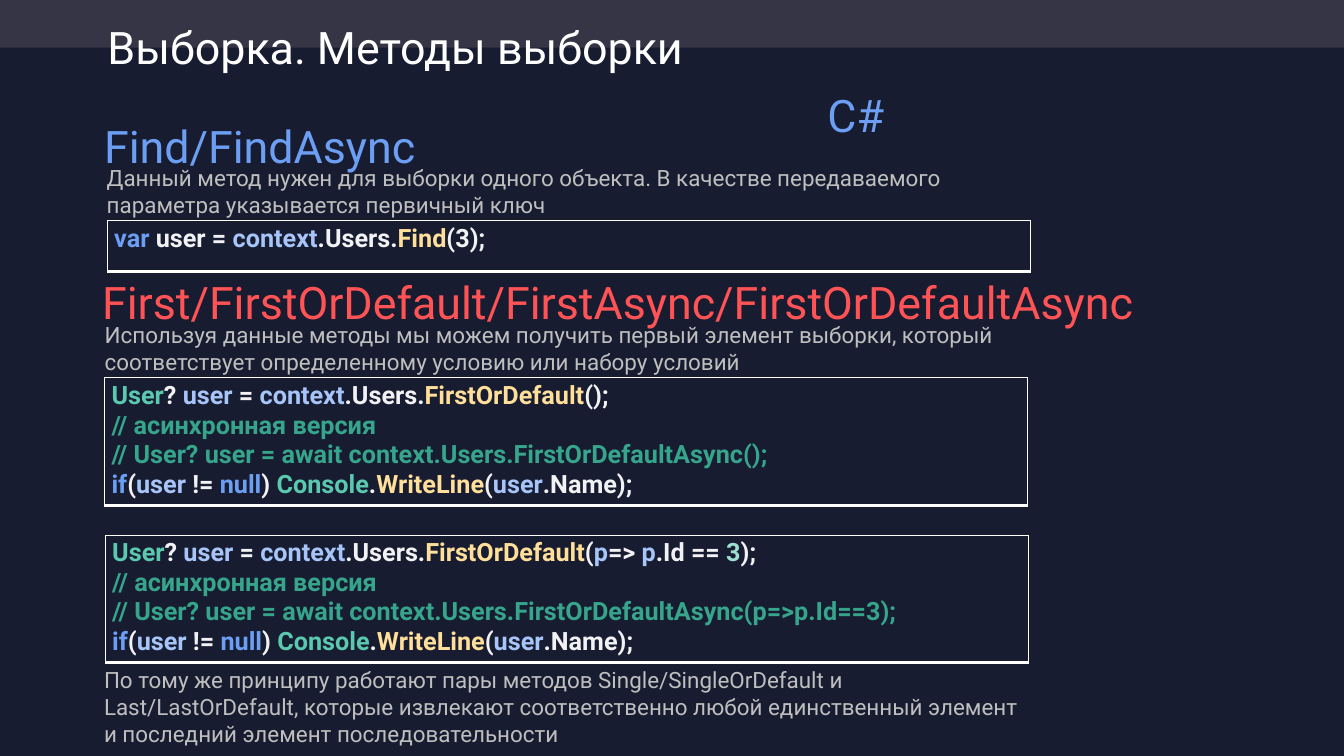
import pptx
import pptx.dml.color
import pptx.enum.shapes
import pptx.enum.text
import pptx.oxml
import pptx.oxml.ns
import pptx.util
from dataclasses import dataclass, field

Inches = pptx.util.Inches
Pt = pptx.util.Pt


@dataclass
class Theme:
    font: str = "Roboto"
    heading_size: int = 48
    body_size: int = 24
    code_size: int = 27
    background: str = "171C30"
    band: str = "353545"
    white: str = "FFFFFF"
    body: str = "BFBFBF"
    code: dict = field(default_factory=lambda: {
        "plain": "F2F2F5", "keyword": "6C9FF4", "variable": "A7C5F8",
        "method": "FFDF99", "type": "5BC9B0", "comment": "36A58C",
        "number": "9DDFD0"})
    cool: tuple = ("8766D0", "6C9FF4", "5BC9B0")
    rainbow: tuple = ("FFC955", "FF5355", "CE59C4", "8766D0", "6C9FF4", "5BC9B0")
    gradient_angle: int = 310
    border_widths: dict = field(default_factory=lambda: {
        "lnL": 1, "lnR": 1, "lnT": 1, "lnB": 3})


class SlideBuilder:
    def __init__(self, presentation, theme):
        self.theme = theme
        self.slide = presentation.slides.add_slide(presentation.slide_layouts[6])
        self.paint(self.slide.background.fill, theme.background)

    def paint(self, fill, color):
        fill.solid()
        fill.fore_color.rgb = pptx.dml.color.RGBColor.from_string(color)

    def band(self, width, height):
        shape = self.slide.shapes.add_shape(
            pptx.enum.shapes.MSO_SHAPE.ROUNDED_RECTANGLE,
            0, 0, Inches(width), Inches(height))
        shape.adjustments[0] = 0
        shape.shadow.inherit = False
        self.paint(shape.fill, self.theme.band)
        shape.line.fill.background()

    def run(self, paragraph, text, size, color, bold=False):
        run = paragraph.add_run()
        run.text = text
        run.font.name = self.theme.font
        run.font.size = Pt(size)
        run.font.bold = bold
        if isinstance(color, tuple):
            self.gradient(run, color)
        else:
            self.paint(run.font.fill, color)

    def gradient(self, run, colors):
        step = 100000 // (len(colors) - 1)
        stops = "".join(
            f'<a:gs pos="{index * step}"><a:srgbClr val="{color}"/></a:gs>'
            for index, color in enumerate(colors))
        run.font._element.insert(0, pptx.oxml.parse_xml(
            f'<a:gradFill {pptx.oxml.ns.nsdecls("a")}><a:gsLst>{stops}</a:gsLst>'
            f'<a:lin ang="{self.theme.gradient_angle * 60000}" scaled="0"/></a:gradFill>'))

    def text(self, left, top, width, height, text, size, color, centered=False, spacing=None):
        box = self.slide.shapes.add_textbox(
            Inches(left), Inches(top), Inches(width), Inches(height))
        box.text_frame.word_wrap = True
        paragraph = box.text_frame.paragraphs[0]
        if centered:
            paragraph.alignment = pptx.enum.text.PP_ALIGN.CENTER
        if spacing:
            paragraph.line_spacing = spacing
        self.run(paragraph, text, size, color)

    def heading(self, left, top, width, text, color, centered=False):
        self.text(left, top, width, 0.91, text, self.theme.heading_size, color, centered)

    def body(self, left, top, height, text):
        self.text(left, top, 13.84, height, text, self.theme.body_size, self.theme.body)

    def code(self, left, top, height, lines):
        table = self.slide.shapes.add_table(
            1, 1, Inches(left), Inches(top), Inches(13.73), Inches(height)).table
        table.first_row = False
        table.horz_banding = False
        cell = table.cell(0, 0)
        self.paint(cell.fill, self.theme.background)
        self.borders(cell)
        frame = cell.text_frame
        for index, line in enumerate(lines):
            paragraph = frame.add_paragraph() if index else frame.paragraphs[0]
            for text, role in line:
                self.run(paragraph, text, self.theme.code_size, self.theme.code[role], True)

    def borders(self, cell):
        properties = cell._tc.get_or_add_tcPr()
        for index, (side, width) in enumerate(self.theme.border_widths.items()):
            properties.insert(index, pptx.oxml.parse_xml(
                f'<a:{side} {pptx.oxml.ns.nsdecls("a")} w="{Pt(width)}"><a:solidFill>'
                f'<a:srgbClr val="{self.theme.white}"/></a:solidFill></a:{side}>'))


def first_or_default(arguments, comment_arguments):
    return [
        [("User", "type"), ("? ", "plain"), ("user", "variable"), (" = ", "plain"),
         ("context", "variable"), (".Users.", "plain"), ("FirstOrDefault", "method"),
         *arguments],
        [("// асинхронная версия", "comment")],
        [(f"// User? user = await context.Users.FirstOrDefaultAsync({comment_arguments});",
          "comment")],
        [("if", "keyword"), ("(", "plain"), ("user ", "variable"), ("!= ", "plain"),
         ("null", "keyword"), (") ", "plain"), ("Console", "type"), (".", "plain"),
         ("WriteLine", "method"), ("(", "plain"), ("user", "variable"),
         (".Name);", "plain")],
    ]


def main():
    presentation = pptx.Presentation()
    presentation.slide_width = Inches(20)
    presentation.slide_height = Inches(11.25)
    theme = Theme()
    builder = SlideBuilder(presentation, theme)

    builder.band(20, 0.71)
    builder.text(1.5, 0.34, 14.08, 0.83, "Выборка. Методы выборки",
                 theme.heading_size, theme.white, spacing=0.9)

    builder.code(1.6, 3.28, 0.76, [[
        ("var", "keyword"), (" user = ", "plain"), ("context", "variable"),
        (".Users.", "plain"), ("Find", "method"), ("(3);", "plain")]])
    builder.body(1.49, 2.39, 0.91,
                 "Данный метод нужен для выборки одного объекта. В качестве "
                 "передаваемого параметра указывается первичный ключ")
    builder.heading(1.45, 1.71, 11.71, "Find/FindAsync", theme.cool)

    builder.code(1.56, 5.62, 1.9, first_or_default([("();", "plain")], ""))
    builder.body(1.46, 4.73, 0.91,
                 "Используя данные методы мы можем получить первый элемент выборки, "
                 "который соответствует определенному условию или набору условий")
    builder.heading(1.42, 4.04, 16.42,
                    "First/FirstOrDefault/FirstAsync/FirstOrDefaultAsync", theme.rainbow)

    builder.code(1.57, 7.96, 1.9, first_or_default(
        [("(", "plain"), ("p", "variable"), ("=> ", "plain"), ("p", "variable"),
         (".Id == ", "plain"), ("3", "number"), (");", "plain")], "p=>p.Id==3"))
    builder.body(1.45, 9.86, 1.31,
                 "По тому же принципу работают пары методов Single/SingleOrDefault и "
                 "Last/LastOrDefault, которые извлекают соответственно любой "
                 "единственный элемент и последний элемент последовательности")
    builder.heading(11.92, 1.26, 1.63, "C#", theme.cool, centered=True)

    presentation.save("out.pptx")


if __name__ == "__main__":
    main()
